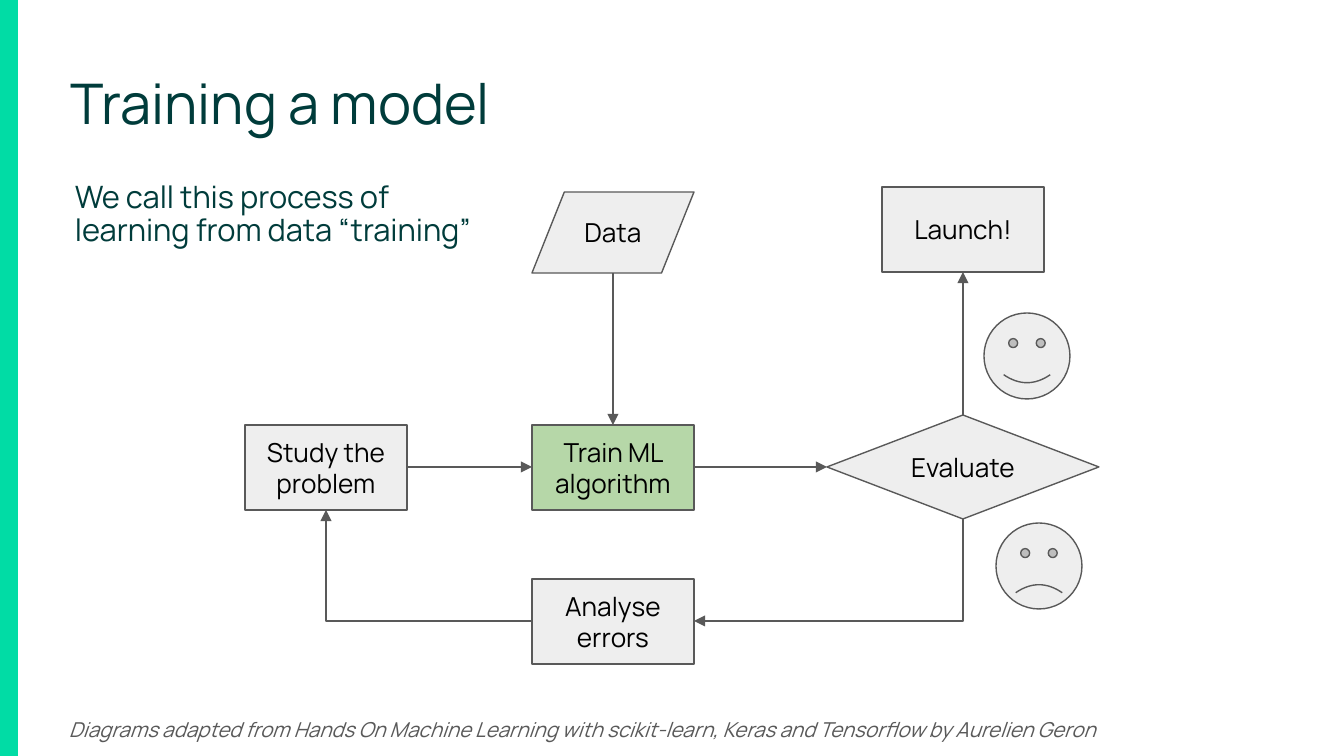
from dataclasses import dataclass

from lxml.etree import SubElement
from pptx import Presentation
from pptx.dml.color import RGBColor
from pptx.enum.shapes import MSO_CONNECTOR as Conn, MSO_SHAPE as Shape
from pptx.enum.text import MSO_ANCHOR as Anchor, PP_ALIGN as Align
from pptx.oxml.ns import qn
from pptx.util import Emu, Pt

EMU_PER_PX = 914400 / 134.4


@dataclass(frozen=True)
class Theme:
    """Colours, type sizes and line width of the slide."""
    font: str = "Manrope"
    bar: str = "01DCA5"
    heading: str = "003C3B"
    label: str = "000000"
    muted: str = "595959"
    node: str = "EEEEEE"
    active: str = "B6D7A8"
    title_size: float = 30
    body_size: float = 16.5
    node_size: float = 14
    credit_size: float = 11
    line_width: float = 0.75


THEME = Theme()


def px(*lengths):
    """Turn pixel lengths into EMU."""
    return [Emu(round(n * EMU_PER_PX)) for n in lengths]


def apply(obj, values):
    """Set every attribute named in a dict."""
    for name, value in values.items():
        setattr(obj, name, value)


def write(s, text, size, color, inset=13, italic=None, frame=None, para=None):
    """Put one formatted paragraph into a shape."""
    tf = s.text_frame
    side, edge = px(13, inset)
    apply(tf, {"word_wrap": True, "margin_left": side, "margin_right": side,
               "margin_top": edge, "margin_bottom": edge, **(frame or {})})
    p = tf.paragraphs[0]
    apply(p, para or {})
    r = p.add_run()
    r.text = text
    apply(r.font, {"name": THEME.font, "size": Pt(size), "italic": italic})
    r.font.color.rgb = RGBColor.from_string(color)


def add_text(slide, box, text, size, color, **style):
    """Add a text box."""
    write(slide.shapes.add_textbox(*px(*box)), text, size, color, **style)


def outline(line):
    """Give a line the diagram's stroke."""
    line.color.rgb = RGBColor.from_string(THEME.muted)
    line.width = Pt(THEME.line_width)


def add_figure(slide, kind, box, fill=THEME.node, outlined=True):
    """Add a filled preset shape."""
    s = slide.shapes.add_shape(kind, *px(*box))
    s.shadow.inherit = False
    s.fill.solid()
    s.fill.fore_color.rgb = RGBColor.from_string(fill)
    if outlined:
        outline(s.line)
    else:
        s.line.fill.background()
    return s


def add_node(slide, kind, box, text, fill=THEME.node):
    """Add a labelled flowchart step."""
    s = add_figure(slide, kind, box, fill)
    write(s, text, THEME.node_size, THEME.label,
          frame={"vertical_anchor": Anchor.MIDDLE}, para={"alignment": Align.CENTER})


def add_face(slide, left, top, smile):
    """Add a face whose mouth bends by the smile value."""
    s = add_figure(slide, Shape.SMILEY_FACE, (left, top, 86, 86))
    s.adjustments[0] = smile


def side(box, name):
    """Return the middle of one side of a box."""
    x, y, w, h = box
    return {"top": (x + w // 2, y), "bottom": (x + w // 2, y + h),
            "left": (x, y + h // 2), "right": (x + w, y + h // 2)}[name]


def add_arrow(slide, start, end):
    """Add a straight connector with an arrowhead at its end."""
    c = slide.shapes.add_connector(Conn.STRAIGHT, *px(*start, *end))
    outline(c.line)
    SubElement(c.line._get_or_add_ln(), qn("a:tailEnd"), type="triangle")
    SubElement(c._element.spPr, qn("a:effectLst"))
    return c


def add_elbow(slide, start, end, turn):
    """Add a one-corner arrow, its path turned by 90 or 180 degrees."""
    c = add_arrow(slide, start, end)
    w, h = (abs(b - a) for a, b in zip(start, end))
    cx, cy = ((a + b) / 2 for a, b in zip(start, end))
    if turn == 90:
        w, h = h, w
    left, top, width, height = px(cx - w / 2, cy - h / 2, w, h)
    apply(c, {"left": left, "top": top, "width": width, "height": height})
    spPr = c._element.spPr
    spPr.find(qn("a:prstGeom")).set("prst", "bentConnector2")
    xfrm = spPr.find(qn("a:xfrm"))
    for flip in ("flipH", "flipV"):
        xfrm.attrib.pop(flip, None)
    xfrm.set("rot", str(turn * 60000))


def add_flow(slide):
    """Draw the training loop."""
    study, train, analyse, launch = (
        (x, y, 162, 85) for x, y in ((245, 425), (532, 425), (532, 579), (882, 187)))
    evaluate, data = (827, 415, 272, 104), (532, 192, 162, 81)

    process = Shape.FLOWCHART_PROCESS
    add_node(slide, process, study, "Study the problem")
    add_node(slide, process, train, "Train ML algorithm", THEME.active)
    add_node(slide, process, analyse, "Analyse errors")
    add_node(slide, process, launch, "Launch!")
    add_node(slide, Shape.FLOWCHART_DECISION, evaluate, "Evaluate")
    add_node(slide, Shape.FLOWCHART_DATA, data, "Data")

    for a, a_side, b, b_side in ((study, "right", train, "left"),
                                 (train, "right", evaluate, "left"),
                                 (evaluate, "top", launch, "bottom"),
                                 (data, "bottom", train, "top")):
        add_arrow(slide, side(a, a_side), side(b, b_side))
    add_elbow(slide, side(evaluate, "bottom"), side(analyse, "right"), 90)
    add_elbow(slide, side(analyse, "left"), side(study, "bottom"), 180)

    add_face(slide, 984, 313, 0.05)
    add_face(slide, 996, 523, -0.05)


def main():
    """Build and save the slide."""
    prs = Presentation()
    prs.slide_width, prs.slide_height = px(1344, 756)
    slide = prs.slides.add_slide(prs.slide_layouts[6])

    add_figure(slide, Shape.RECTANGLE, (0, 0, 18, 756), THEME.bar, outlined=False)
    tight = {"inset": 7, "para": {"line_spacing": 0.9}}
    add_text(slide, (58, 69, 915, 69), "Training a model",
             THEME.title_size, THEME.heading, **tight)
    add_text(slide, (62, 175, 456, 525),
             "We call this process of learning from data “training”",
             THEME.body_size, THEME.heading, **tight)
    add_text(slide, (56, 700, 1211, 64),
             "Diagrams adapted from Hands On Machine Learning with scikit-learn, "
             "Keras and Tensorflow by Aurelien Geron",
             THEME.credit_size, THEME.muted, italic=True,
             para={"line_spacing": 1.15, "space_after": Pt(12)})
    add_flow(slide)
    prs.save("out.pptx")


if __name__ == "__main__":
    main()
